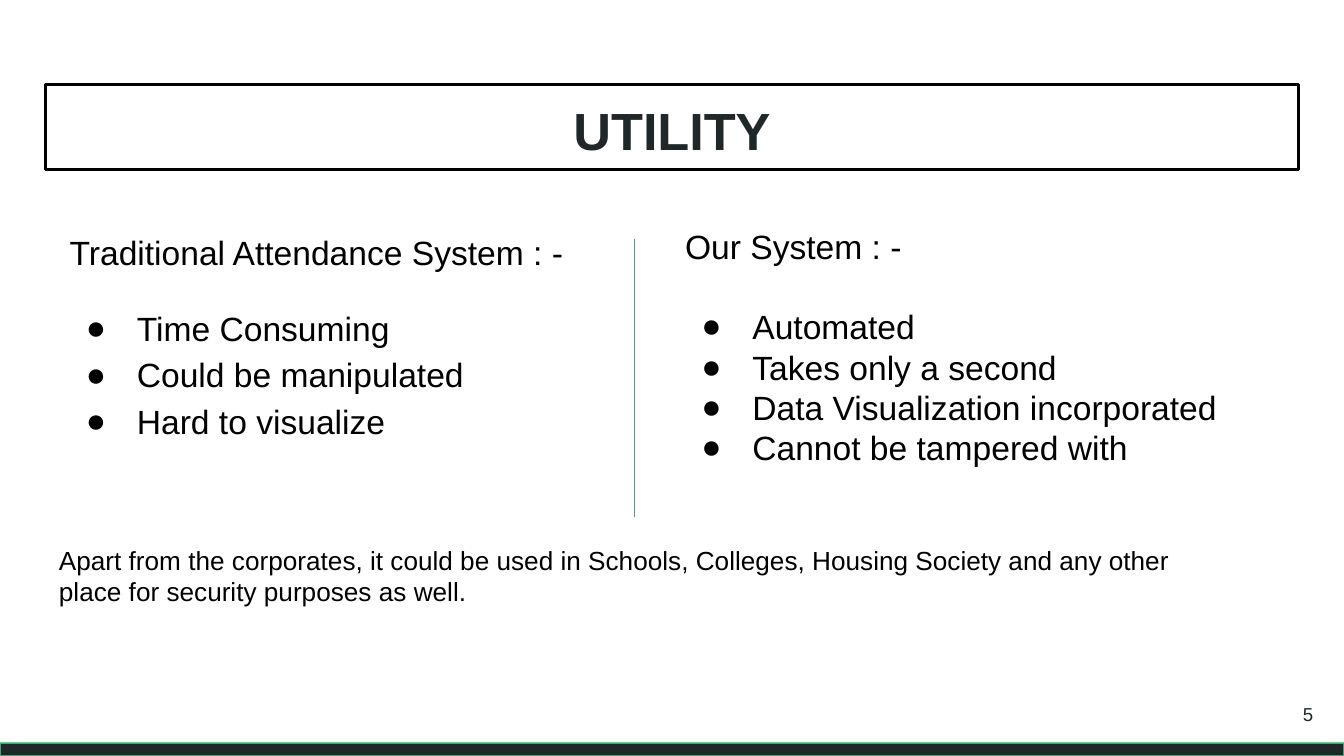
"""Build the UTILITY slide comparing two attendance systems."""
import lxml.etree
import pptx
import pptx.dml.color
import pptx.enum.shapes
import pptx.enum.text
import pptx.oxml.ns
import pptx.util

Inches, Pt = pptx.util.Inches, pptx.util.Pt
Align, Anchor = pptx.enum.text.PP_ALIGN, pptx.enum.text.MSO_ANCHOR
qn = pptx.oxml.ns.qn

THEME = {
    "font": "Arial",
    "black": "000000", "dark": "202729", "mint": "63D297", "green": "4BA173",
    "title": 28, "body": 18, "note": 14, "number": 10,
}
TITLE = "UTILITY"
COLUMNS = [
    {"area": (0.42, 1.58, 4.58, 3.77), "spacing": 1.15, "gap": 16,
     "heading": "Traditional Attendance System : -",
     "points": ["Time Consuming", "Could be manipulated", "Hard to visualize"]},
    {"area": (5, 1.58, 4.23, 3.77), "spacing": 1.0, "gap": 21.5,
     "heading": "Our System : -",
     "points": ["Automated", "Takes only a second",
                "Data Visualization incorporated", "Cannot be tampered with"]},
]
NOTE = ("Apart from the corporates, it could be used in Schools, Colleges, "
        "Housing Society and any other place for security purposes as well.")
PAGE_NUMBER = "5"


def color(name):
    return pptx.dml.color.RGBColor.from_string(THEME[name])


def add_bar(page, area, fill=None, line=None, width=0.75):
    bar = page.shapes.add_shape(pptx.enum.shapes.MSO_SHAPE.RECTANGLE, *map(Inches, area))
    bar.shadow.inherit = False
    if fill:
        bar.fill.solid()
        bar.fill.fore_color.rgb = color(fill)
    else:
        bar.fill.background()
    if line:
        bar.line.color.rgb = color(line)
        bar.line.width = Pt(width)
    else:
        bar.line.fill.background()
    return bar


def prepare_frame(shape, anchor=Anchor.TOP):
    frame = shape.text_frame
    frame.word_wrap = True
    frame.vertical_anchor = anchor
    frame.margin_left = frame.margin_right = Inches(0.1)
    frame.margin_top = frame.margin_bottom = Inches(0.1)
    return frame


def add_text_frame(page, area, anchor=Anchor.TOP):
    return prepare_frame(page.shapes.add_textbox(*map(Inches, area)), anchor)


def add_bullet(para):
    properties = para._p.get_or_add_pPr()
    properties.set("marL", str(Inches(0.5)))
    properties.set("indent", str(Inches(-0.38)))
    bullet_color = lxml.etree.SubElement(properties, qn("a:buClr"))
    lxml.etree.SubElement(bullet_color, qn("a:srgbClr"), val=THEME["black"])
    lxml.etree.SubElement(properties, qn("a:buFont"), typeface=THEME["font"])
    lxml.etree.SubElement(properties, qn("a:buChar"), char="●")


def write(para, text, size, ink="black", align=Align.LEFT, bold=False):
    para.text = text
    para.alignment = align
    para.font.name = THEME["font"]
    para.font.size = Pt(THEME[size])
    para.font.bold = bold
    para.font.color.rgb = color(ink)


def add_column(page, column):
    frame = add_text_frame(page, column["area"])
    heading = frame.paragraphs[0]
    heading.line_spacing = column["spacing"]
    write(heading, column["heading"], "body")
    for index, point in enumerate(column["points"]):
        para = frame.add_paragraph()
        para.line_spacing = column["spacing"]
        para.space_before = Pt(0 if index else column["gap"])
        add_bullet(para)
        write(para, point, "body")


def add_divider(page, x, top, bottom):
    divider = page.shapes.add_connector(
        pptx.enum.shapes.MSO_CONNECTOR.STRAIGHT, *map(Inches, (x, top, x, bottom)))
    divider.line.color.rgb = color("green")
    divider.line.width = Pt(0.75)
    lxml.etree.SubElement(divider._element.spPr, qn("a:effectLst"))


def main():
    deck = pptx.Presentation()
    deck.slide_width = Inches(10)
    deck.slide_height = deck.slide_width * 9 // 16
    page = deck.slides.add_slide(deck.slide_layouts[6])

    add_bar(page, (0, 5.52, 10, 0.11), fill="mint")
    title = prepare_frame(add_bar(page, (0.34, 0.63, 9.32, 0.63), line="black", width=1.5))
    write(title.paragraphs[0], TITLE, "title", "dark", Align.CENTER, bold=True)
    for column in COLUMNS:
        add_column(page, column)
    add_divider(page, 4.72, 1.78, 3.85)
    note = add_text_frame(page, (0.34, 3.95, 8.95, 1.23))
    write(note.paragraphs[0], NOTE, "note")
    number = add_text_frame(page, (9.27, 5.1, 0.6, 0.43), Anchor.MIDDLE)
    write(number.paragraphs[0], PAGE_NUMBER, "number", "dark", Align.RIGHT)
    add_bar(page, (0, 5.53, 10, 0.09), fill="dark", line="green")

    deck.save("out.pptx")


if __name__ == "__main__":
    main()
